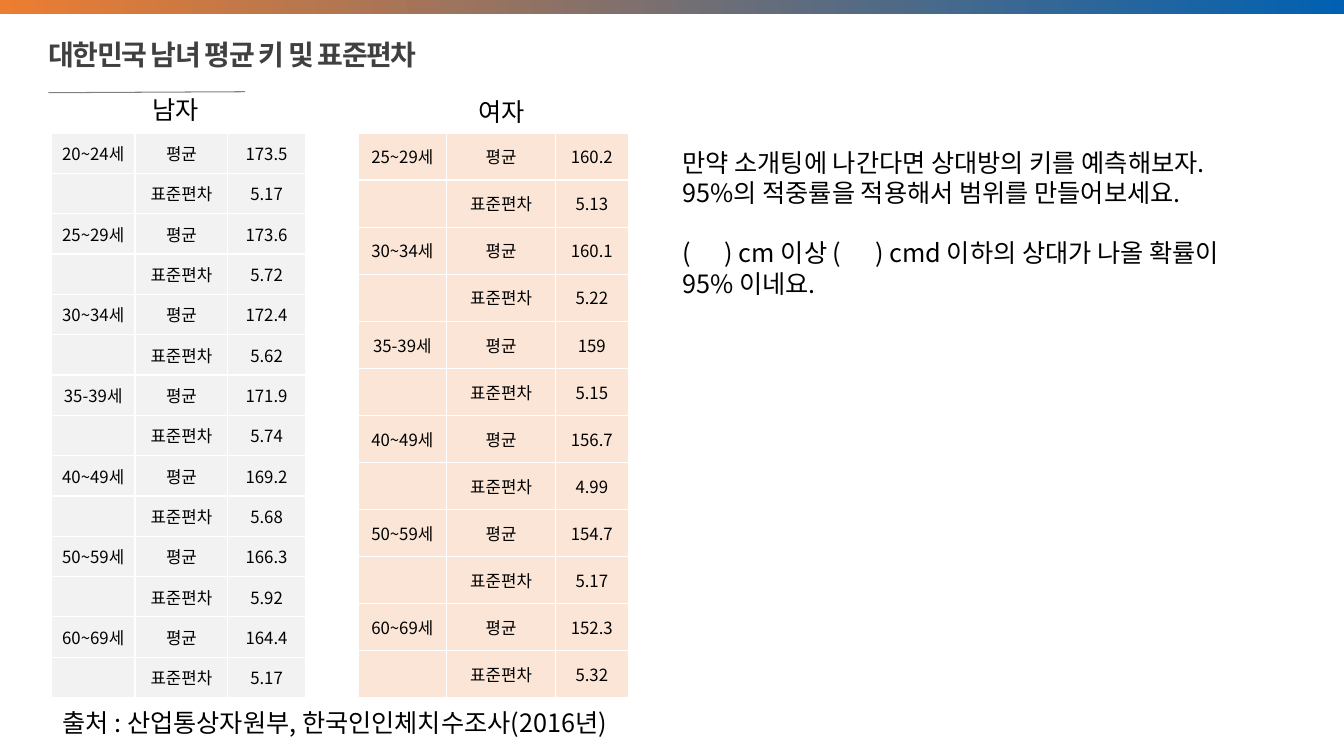
from pptx import Presentation
from pptx.dml.color import RGBColor
from pptx.enum.shapes import MSO_CONNECTOR, MSO_SHAPE
from pptx.enum.text import MSO_ANCHOR, PP_ALIGN
from pptx.util import Inches, Pt
from lxml.etree import SubElement
from pptx.oxml.ns import qn

FONT = "Noto Sans CJK KR"
MEN = [
    ("20~24세", "173.5", "5.17"),
    ("25~29세", "173.6", "5.72"),
    ("30~34세", "172.4", "5.62"),
    ("35-39세", "171.9", "5.74"),
    ("40~49세", "169.2", "5.68"),
    ("50~59세", "166.3", "5.92"),
    ("60~69세", "164.4", "5.17"),
]
WOMEN = [
    ("25~29세", "160.2", "5.13"),
    ("30~34세", "160.1", "5.22"),
    ("35-39세", "159", "5.15"),
    ("40~49세", "156.7", "4.99"),
    ("50~59세", "154.7", "5.17"),
    ("60~69세", "152.3", "5.32"),
]
TASK = [
    "만약 소개팅에 나간다면 상대방의 키를 예측해보자.",
    "95%의 적중률을 적용해서 범위를 만들어보세요.",
    "(      ) cm 이상 (      ) cmd 이하의 상대가 나올 확률이",
    "95% 이네요.",
]


def color(text):
    """Turn a hex string into a colour."""
    return RGBColor.from_string(text)


def style(para, size, name=FONT, tint="000000", bold=False):
    """Set the font of a paragraph."""
    font = para.font
    font.size, font.name, font.bold = Pt(size), name, bold
    font.color.rgb = color(tint)


def add_bar(slide):
    """Add the gradient bar along the top edge."""
    bar = slide.shapes.add_shape(
        MSO_SHAPE.RECTANGLE, 0, 0, Inches(13.33), Inches(0.14))
    bar.shadow.inherit = False
    bar.line.fill.background()
    bar.fill.gradient()
    bar.fill.gradient_angle = 0
    for stop, tint, place in zip(
            bar.fill.gradient_stops, ("ED7D31", "0061B2"), (0, 1)):
        stop.color.rgb = color(tint)
        stop.position = place


def add_rule(slide):
    """Add the thin line below the title."""
    rule = slide.shapes.add_connector(
        MSO_CONNECTOR.STRAIGHT,
        Inches(0.48), Inches(0.92), Inches(2.43), Inches(0.91))
    rule.line.color.rgb = color("808080")
    rule.line.width = Pt(0.75)
    SubElement(rule._element.spPr, qn("a:effectLst"))


def add_text(slide, box, lines):
    """Add a text box with one paragraph a line and return its frame."""
    frame = slide.shapes.add_textbox(*map(Inches, box)).text_frame
    frame.word_wrap = False
    frame.text = "\n".join(lines)
    for para in frame.paragraphs:
        style(para, 18)
    return frame


def add_title(slide, text):
    """Add the slide title."""
    frame = add_text(slide, (0.38, 0.33, 7.37, 0.45), [text])
    frame.word_wrap = True
    frame.vertical_anchor = MSO_ANCHOR.MIDDLE
    para = frame.paragraphs[0]
    para.line_spacing = 0.9
    style(para, 20, "Arial", "404040", True)
    para.font._element.set("spc", "-100")


def add_stats(slide, left, widths, groups, tint):
    """Add a table with a mean row and a deviation row for each age group."""
    rows = []
    for age, mean, dev in groups:
        rows += [(age, "평균", mean), ("", "표준편차", dev)]
    table = slide.shapes.add_table(
        len(rows), len(widths), Inches(left), Inches(1.32),
        Inches(sum(widths)), Inches(5.6)).table
    table.first_row = table.horz_banding = False
    for col, width in zip(table.columns, widths):
        col.width = Inches(width)
    for r, row in enumerate(rows):
        for c, text in enumerate(row):
            cell = table.cell(r, c)
            cell.fill.solid()
            cell.fill.fore_color.rgb = color(tint)
            cell.margin_left = cell.margin_right = 0
            cell.margin_top = cell.margin_bottom = 0
            cell.vertical_anchor = MSO_ANCHOR.MIDDLE
            cell.text = text
            para = cell.text_frame.paragraphs[0]
            para.alignment = PP_ALIGN.CENTER
            style(para, 12)


def main():
    """Build the slide and save it."""
    deck = Presentation()
    deck.slide_width, deck.slide_height = Inches(13.33), Inches(7.5)
    slide = deck.slides.add_slide(deck.slide_layouts[6])
    add_bar(slide)
    add_rule(slide)
    add_title(slide, "대한민국 남녀 평균 키 및 표준편차")
    add_stats(slide, 0.51, (0.83, 0.92, 0.77), MEN, "F2F2F2")
    add_stats(slide, 3.55, (0.88, 1.08, 0.72), WOMEN, "FBE5D6")
    add_text(slide, (0.52, 6.97, 6.08, 0.4),
             ["출처 : 산업통상자원부, 한국인인체치수조사(2016년)"])
    add_text(slide, (1.41, 0.89, 0.71, 0.4), ["남자"])
    add_text(slide, (4.65, 0.91, 0.71, 0.4), ["여자"])
    task = add_text(slide, (6.67, 1.41, 6.51, 1.62), TASK)
    task.paragraphs[2].space_before = Pt(21.6)
    deck.save("out.pptx")


if __name__ == "__main__":
    main()
